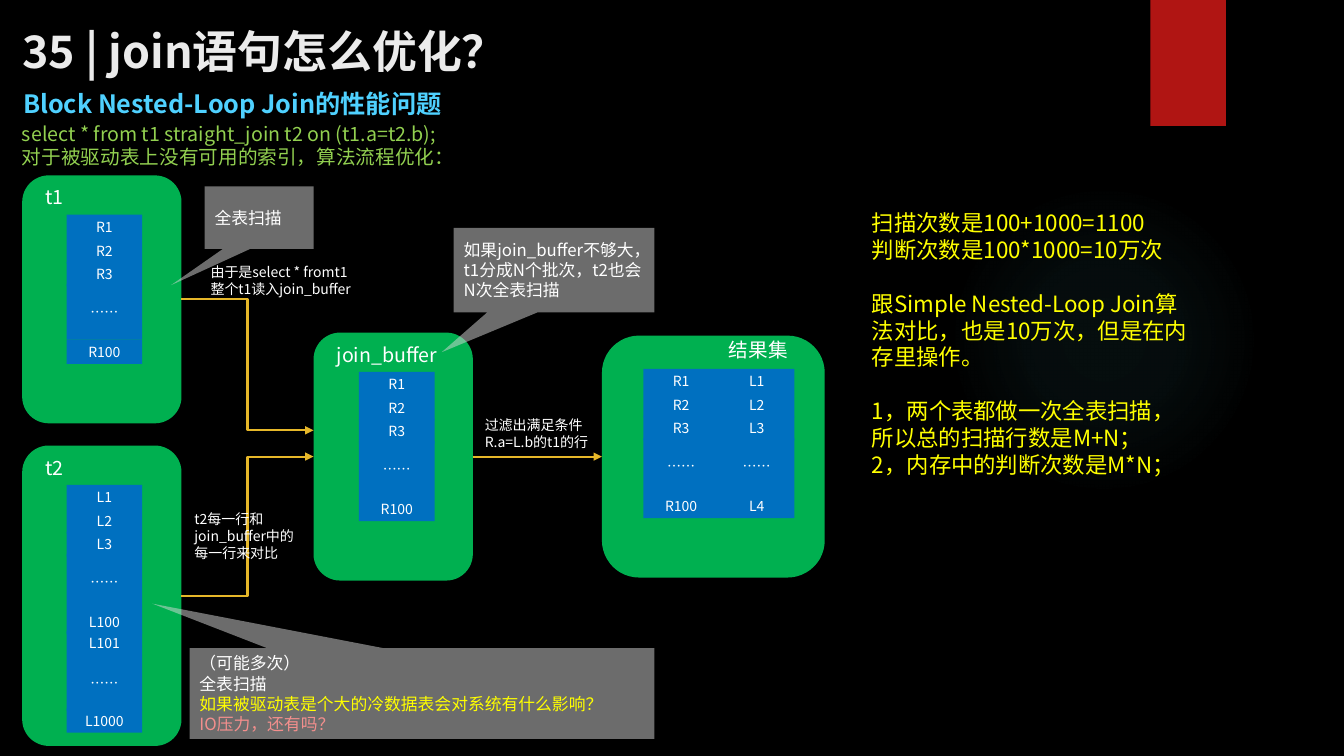
"""Build the slide on optimising join statements with Block Nested-Loop Join."""
from dataclasses import dataclass

from lxml import etree
from pptx import Presentation
from pptx.dml.color import RGBColor
from pptx.enum.shapes import MSO_CONNECTOR, MSO_SHAPE
from pptx.enum.text import MSO_ANCHOR, MSO_AUTO_SIZE, PP_ALIGN
from pptx.oxml import parse_xml
from pptx.oxml.ns import qn
from pptx.util import Inches, Pt

RECT, ROUNDED, OVAL = MSO_SHAPE.RECTANGLE, MSO_SHAPE.ROUNDED_RECTANGLE, MSO_SHAPE.OVAL
CALLOUT = MSO_SHAPE.RECTANGULAR_CALLOUT
STRAIGHT, ELBOW = MSO_CONNECTOR.STRAIGHT, MSO_CONNECTOR.ELBOW
TOP, MIDDLE = MSO_ANCHOR.TOP, MSO_ANCHOR.MIDDLE
LEFT, CENTER = PP_ALIGN.LEFT, PP_ALIGN.CENTER
NO_AUTOFIT = MSO_AUTO_SIZE.NONE
LEFT_SIDE, RIGHT_SIDE = 1, 3

FONT = "Noto Sans CJK SC"
WHITE, YELLOW, PINK = "FFFFFF", "FFFF00", "F38F8D"
GREEN, BLUE, GOLD, GREY = "00B050", "0070C0", "E6B729", "D9D9D9"
DOTS = "……"
ROW_OFFSETS = (0, 0.24, 0.47, 0.69, 1.24, 1.45, 1.69, 2.22)
ROW_WIDTH, ROW_HEIGHT, DOTS_HEIGHT = 0.75, 0.24, 0.55
R_ROWS = ("R1", "R2", "R3", DOTS, "R100")
L_ROWS = ("L1", "L2", "L3", DOTS, "L4")
T2_ROWS = ("L1", "L2", "L3", DOTS, "L100", "L101", DOTS, "L1000")

Box = tuple[float, float, float, float]


@dataclass
class Line:
    """One paragraph of text."""
    text: str
    color: str = WHITE
    space_before: float = 0


@dataclass
class DataSet:
    """A green container with a caption and columns of rows."""
    box: Box
    caption: str
    caption_box: Box
    rows_at: tuple[float, float]
    columns: tuple[tuple[str, ...], ...]


@dataclass
class Label:
    """A free text box."""
    box: Box
    size: float
    lines: list[Line]
    bold: bool = False
    wrap: bool = True


@dataclass
class Remark:
    """A grey callout with its pointer adjustments."""
    box: Box
    pointer: tuple[float, float]
    lines: list[Line]


DATA_SETS = (
    DataSet((0.22, 1.74, 1.58, 2.46), "t1", (0.35, 1.79, 0.56, 0.34), (0.66, 2.13), (R_ROWS,)),
    DataSet((0.22, 4.42, 1.58, 2.98), "t2", (0.35, 4.47, 0.56, 0.34), (0.66, 4.81), (T2_ROWS,)),
    DataSet((3.11, 3.3, 1.58, 2.46), "join_buffer", (3.24, 3.35, 1.59, 0.34), (3.56, 3.69),
            (R_ROWS,)),
    DataSet((5.97, 3.33, 2.21, 2.4), "结果集", (7.13, 3.3, 1.85, 0.34), (6.38, 3.66),
            (R_ROWS, L_ROWS)),
)
LABELS = (
    Label((0.13, 0.83, 4.49, 0.4), 18, [Line("Block Nested-Loop Join的性能问题", "4FD1FF")],
          bold=True, wrap=False),
    Label((0.12, 1.16, 12.97, 0.57), 14,
          [Line("select * from t1 straight_join t2 on (t1.a=t2.b);", "92D050"),
           Line("对于被驱动表上没有可用的索引，算法流程优化：", "92D050")]),
    Label((1.83, 5.02, 1.28, 0.61), 10, [Line("t2每一行和join_buffer中的每一行来对比")]),
    Label((1.99, 2.57, 2.02, 0.44), 10,
          [Line("由于是select * fromt1"), Line("整个t1读入join_buffer")]),
    Label((4.71, 4.08, 1.31, 0.44), 10, [Line("过滤出满足条件"), Line("R.a=L.b的t1的行")]),
    Label((8.55, 2.03, 3.41, 2.83), 16,
          [Line("扫描次数是100+1000=1100", YELLOW),
           Line("判断次数是100*1000=10万次", YELLOW),
           Line("跟Simple Nested-Loop Join算法对比，也是10万次，但是在内存里操作。", YELLOW, 19),
           Line("1，两个表都做一次全表扫描，所以总的扫描行数是M+N；", YELLOW, 19),
           Line("2，内存中的判断次数是M*N；", YELLOW)]),
)
REMARKS = (
    Remark((2.03, 1.85, 1.08, 0.62), (-0.81, 1.08), [Line("全表扫描")]),
    Remark((1.88, 6.43, 4.61, 0.9), (-0.58, -0.99),
           [Line("（可能多次）"), Line("全表扫描"),
            Line("如果被驱动表是个大的冷数据表会对系统有什么影响？", YELLOW),
            Line("IO压力，还有吗？", PINK)]),
    Remark((4.5, 2.26, 1.99, 0.84), (-0.56, 0.97),
           [Line("如果join_buffer不够大，t1分成N个批次，t2也会N次全表扫描")]),
)


def rgb(color: str) -> RGBColor:
    """Turn a hex string into a colour."""
    return RGBColor.from_string(color)


def write(frame, lines: list[Line], size: float, bold: bool = False, align=LEFT,
          anchor=TOP, wrap: bool = True) -> None:
    """Fill a text frame with formatted paragraphs."""
    frame.auto_size = NO_AUTOFIT
    frame.word_wrap = wrap
    frame.vertical_anchor = anchor
    for index, line in enumerate(lines):
        paragraph = frame.add_paragraph() if index else frame.paragraphs[0]
        paragraph.alignment = align
        if line.space_before:
            paragraph.space_before = Pt(line.space_before)
        run = paragraph.add_run()
        run.text = line.text
        run.font.size, run.font.bold, run.font.name = Pt(size), bold, FONT
        run.font.color.rgb = rgb(line.color)
        etree.SubElement(run.font._element, qn("a:ea")).set("typeface", FONT)


def add_filled(slide, kind, box: Box, color: str):
    """Add a preset shape with a plain fill and no line."""
    shape = slide.shapes.add_shape(kind, *map(Inches, box))
    shape.shadow.inherit = False
    shape.fill.solid()
    shape.fill.fore_color.rgb = rgb(color)
    shape.line.fill.background()
    return shape


def add_glow(slide, box: Box) -> None:
    """Add the faint round glow behind the conclusions."""
    glow = add_filled(slide, OVAL, box, "50B9C1")
    stops = "".join(
        f'<a:gs pos="{place}000"><a:srgbClr val="50B9C1"><a:alpha val="{alpha}000"/>'
        "</a:srgbClr></a:gs>" for place, alpha in ((0, 7), (36, 6), (69, 0), (100, 0)))
    gradient = parse_xml(
        '<a:gradFill xmlns:a="http://schemas.openxmlformats.org/drawingml/2006/main">'
        f'<a:gsLst>{stops}</a:gsLst><a:path path="circle">'
        '<a:fillToRect l="50000" t="50000" r="50000" b="50000"/></a:path></a:gradFill>')
    properties = glow._element.spPr
    properties.replace(properties.find(qn("a:solidFill")), gradient)


def add_label(slide, label: Label) -> None:
    """Add a text box."""
    box = slide.shapes.add_textbox(*map(Inches, label.box))
    write(box.text_frame, label.lines, label.size, label.bold, wrap=label.wrap)


def add_data_set(slide, data: DataSet):
    """Add a container, its rows and its caption, and return the container."""
    container = add_filled(slide, ROUNDED, data.box, GREEN)
    left, top = data.rows_at
    for column, rows in enumerate(data.columns):
        for text, offset in zip(rows, ROW_OFFSETS):
            height = DOTS_HEIGHT if text == DOTS else ROW_HEIGHT
            row = add_filled(slide, RECT,
                             (left + column * ROW_WIDTH, top + offset, ROW_WIDTH, height), BLUE)
            write(row.text_frame, [Line(text)], 10, align=CENTER, anchor=MIDDLE)
    add_label(slide, Label(data.caption_box, 14, [Line(data.caption)]))
    return container


def add_arrow(slide, kind, start: tuple[float, float], end: tuple[float, float]):
    """Add a gold arrow."""
    arrow = slide.shapes.add_connector(kind, *map(Inches, start + end))
    arrow.line.color.rgb = rgb(GOLD)
    arrow.line.width = Pt(1.5)
    etree.SubElement(arrow.line._get_or_add_ln(), qn("a:tailEnd")).set("type", "triangle")
    etree.SubElement(arrow._element.spPr, qn("a:effectLst"))
    return arrow


def add_remark(slide, remark: Remark) -> None:
    """Add a half-transparent callout."""
    callout = add_filled(slide, CALLOUT, remark.box, GREY)
    callout.adjustments[0], callout.adjustments[1] = remark.pointer
    fill_color = callout._element.spPr.find(qn("a:solidFill"))[0]
    etree.SubElement(fill_color, qn("a:alpha")).set("val", "50000")
    write(callout.text_frame, remark.lines, 12, anchor=MIDDLE)


def main() -> None:
    """Build and save the slide."""
    deck = Presentation()
    deck.slide_width, deck.slide_height = Inches(13.33), Inches(7.5)
    slide = deck.slides.add_slide(deck.slide_layouts[5])
    slide.background.fill.solid()
    slide.background.fill.fore_color.rgb = rgb("000000")

    add_glow(slide, (9.41, 1.83, 3.08, 3.08))
    add_filled(slide, RECT, (11.41, 0, 0.75, 1.25), "B01513")
    title = slide.shapes.title
    title.left, title.top, title.width, title.height = map(Inches, (0.12, 0.17, 12.19, 0.66))
    write(title.text_frame, [Line("35 | join语句怎么优化？", "EBEBEB")], 32, True, anchor=MIDDLE)

    t1, t2, join_buffer, result = [add_data_set(slide, data) for data in DATA_SETS]
    load = add_arrow(slide, ELBOW, (1.8, 2.97), (3.11, 4.27))
    load.begin_connect(t1, RIGHT_SIDE)
    compare = add_arrow(slide, ELBOW, (1.8, 5.91), (3.11, 4.53))
    compare.begin_connect(t2, RIGHT_SIDE)
    compare.end_connect(join_buffer, LEFT_SIDE)
    output = add_arrow(slide, STRAIGHT, (4.69, 4.53), (5.97, 4.53))
    output.begin_connect(join_buffer, RIGHT_SIDE)
    output.end_connect(result, LEFT_SIDE)

    for label in LABELS:
        add_label(slide, label)
    for remark in REMARKS:
        add_remark(slide, remark)
    deck.save("out.pptx")


if __name__ == "__main__":
    main()
